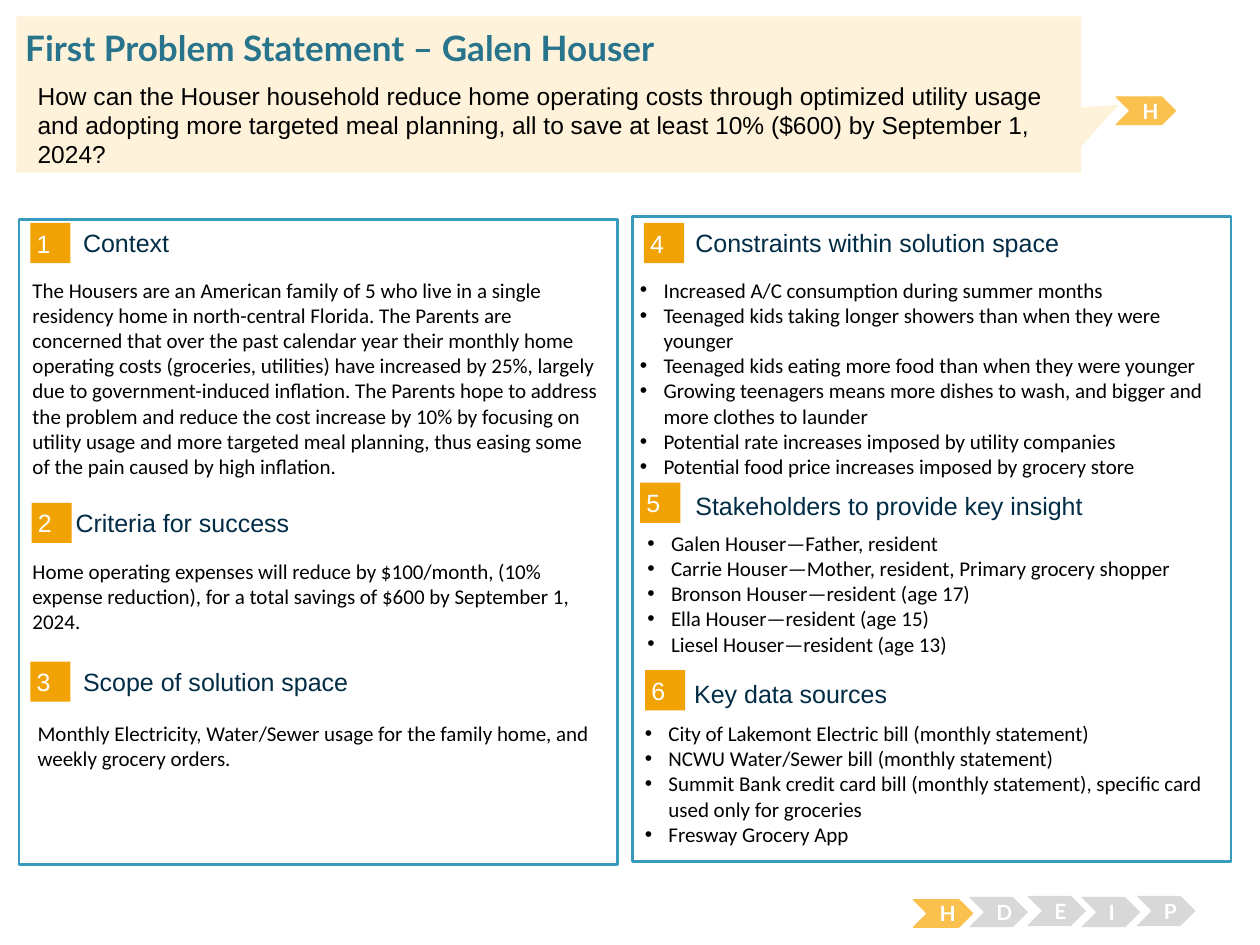
from lxml.etree import SubElement
from pptx import Presentation
from pptx.dml.color import RGBColor
from pptx.enum.shapes import MSO_SHAPE
from pptx.enum.text import MSO_ANCHOR, PP_ALIGN
from pptx.oxml.ns import qn
from pptx.util import Pt

HUES = {"frame": "379BBD", "badge": "F1A205", "active": "FBC14E",
        "idle": "D8D8D8", "cream": "FEF2DA", "title": "29748D",
        "head": "002C46", "white": "FFFFFF", "black": "000000"}

FONTS = {
    "title": {"name": "Lato", "size": Pt(20), "bold": True},
    "lead": {"name": "Arial", "size": Pt(14)},
    "head": {"name": "Arial", "size": Pt(14.3)},
    "body": {"name": "Calibri", "size": Pt(12)},
    "step": {"name": "Lato", "size": Pt(12), "bold": True},
}

PAD = (7.2, 3.6, 7.2, 3.6)
BARE = (0, 0, 0, 0)
INDENT = 13.5

# number, badge spot, heading, heading spot, body box, body lines, bulleted
PARTS = [
    ("1", (17.3, 127.4), "Context", (47.5, 129.6),
     (11.5, 154.8, 340.6, 126.7),
     ["The Housers are an American family of 5 who live in a single residency "
      "home in north-central Florida. The Parents are concerned that over the "
      "past calendar year their monthly home operating costs (groceries, "
      "utilities) have increased by 25%, largely due to government-induced "
      "inflation. The Parents hope to address the problem and reduce the cost "
      "increase by 10% by focusing on utility usage and more targeted meal "
      "planning, thus easing some of the pain caused by high inflation."], False),
    ("2", (18, 287.3), "Criteria for success", (43.2, 289.4),
     (11.5, 315.4, 343.4, 54.7),
     ["Home operating expenses will reduce by $100/month, (10% expense "
      "reduction), for a total savings of $600 by September 1, 2024."], False),
    ("3", (17.3, 378), "Scope of solution space", (47.5, 380.2),
     (14.4, 408.2, 340.6, 59),
     ["Monthly Electricity, Water/Sewer usage for the family home, and weekly "
      "grocery orders."], False),
    ("4", (367.9, 127.4), "Constraints within solution space", (397.4, 129.6),
     (358.6, 154.8, 342, 95),
     ["Increased A/C consumption during summer months",
      "Teenaged kids taking longer showers than when they were younger",
      "Teenaged kids eating more food than when they were younger",
      "Growing teenagers means more dishes to wash, and bigger and more "
      "clothes to launder",
      "Potential rate increases imposed by utility companies",
      "Potential food price increases imposed by grocery store"], True),
    ("5", (365.8, 275.8), "Stakeholders to provide key insight", (397.4, 280.1),
     (362.9, 299.5, 340.6, 76.3),
     ["Galen Houser—Father, resident",
      "Carrie Houser—Mother, resident, Primary grocery shopper",
      "Bronson Houser—resident (age 17)",
      "Ella Houser—resident (age 15)",
      "Liesel Houser—resident (age 13)"], True),
    ("6", (368.6, 383), "Key data sources", (396.7, 387.4),
     (361.4, 408.2, 340.6, 80.6),
     ["City of Lakemont Electric bill (monthly statement)",
      "NCWU Water/Sewer bill (monthly statement)",
      "Summit Bank credit card bill (monthly statement), specific card used "
      "only for groceries",
      "Fresway Grocery App"], True),
]

STEPS = [("H", 522, 514.1, True), ("D", 553.7, 512.6, False),
         ("E", 586.8, 511.9, False), ("I", 617.8, 512.6, False),
         ("P", 649.4, 511.9, False), ("H", 637.9, 55.4, True)]


def tint(name):
    return RGBColor.from_string(HUES[name])


def add_dot(para):
    """Give the paragraph a black round bullet with a hanging indent."""
    props = para._p.get_or_add_pPr()
    props.set("marL", str(Pt(INDENT)))
    props.set("indent", str(-Pt(INDENT)))
    shade = SubElement(props, qn("a:buClr"))
    SubElement(shade, qn("a:srgbClr"), val=HUES["black"])
    SubElement(props, qn("a:buFont"), typeface="Arial")
    SubElement(props, qn("a:buChar"), char="•")


def write(shape, lines, font, hue, pad=PAD, anchor=MSO_ANCHOR.TOP,
          align=PP_ALIGN.LEFT, dots=False):
    frame = shape.text_frame
    frame.word_wrap = True
    frame.vertical_anchor = anchor
    for side, gap in zip(("left", "top", "right", "bottom"), pad):
        setattr(frame, f"margin_{side}", Pt(gap))
    for i, line in enumerate(lines):
        para = frame.add_paragraph() if i else frame.paragraphs[0]
        para.alignment = align
        if dots:
            add_dot(para)
        run = para.add_run()
        run.text = line
        run.font.color.rgb = tint(hue)
        for key, value in FONTS[font].items():
            setattr(run.font, key, value)


def add_text(slide, box, lines, font, hue="black", **style):
    write(slide.shapes.add_textbox(*map(Pt, box)), lines, font, hue, **style)


def add_form(slide, kind, box, fill, line=None, width=0.75):
    shape = slide.shapes.add_shape(kind, *map(Pt, box))
    shape.shadow.inherit = False
    shape.fill.solid()
    shape.fill.fore_color.rgb = tint(fill)
    if line:
        shape.line.color.rgb = tint(line)
        shape.line.width = Pt(width)
    else:
        shape.line.fill.background()
    return shape


def add_part(slide, mark, spot, head, place, box, lines, dots):
    """Add a numbered badge, its heading and the text below."""
    badge = add_form(slide, MSO_SHAPE.RECTANGLE, (*spot, 23, 23), "badge")
    write(badge, [mark], "head", "white", pad=(3.6,) * 4,
          anchor=MSO_ANCHOR.MIDDLE)
    add_text(slide, (*place, 283, 18), [head], "head", "head", pad=BARE,
             anchor=MSO_ANCHOR.MIDDLE)
    add_text(slide, box, lines, "body", dots=dots)


def add_step(slide, mark, left, top, active):
    hue, high = ("active", 15.8) if active else ("idle", 17.3)
    step = add_form(slide, MSO_SHAPE.CHEVRON, (left, top, 33.8, high), hue,
                    line=hue if active else None)
    write(step, [mark], "step", "white", anchor=MSO_ANCHOR.MIDDLE,
          align=PP_ALIGN.CENTER)


def add_top(slide):
    """Add the callout with the title and the problem question."""
    call = add_form(slide, MSO_SHAPE.RECTANGULAR_CALLOUT,
                    (9.4, 9.4, 608.4, 89.3), "cream")
    call.adjustments[0] = 0.535
    call.adjustments[1] = 0.066
    add_text(slide, (14.4, 15.1, 692.6, 24.5),
             ["First Problem Statement – Galen Houser"], "title", "title",
             pad=BARE)
    add_text(slide, (14.4, 42.5, 603.4, 54),
             ["How can the Houser household reduce home operating costs through "
              "optimized utility usage and adopting more targeted meal planning, "
              "all to save at least 10% ($600) by September 1, 2024?"], "lead")


def main():
    deck = Presentation()
    deck.slide_width, deck.slide_height = Pt(720), Pt(540)
    slide = deck.slides.add_slide(deck.slide_layouts[6])
    for left, top in ((10.8, 125.3), (361.4, 123.8)):
        add_form(slide, MSO_SHAPE.RECTANGLE, (left, top, 342, 368.6), "white",
                 line="frame", width=1.5)
    for part in PARTS:
        add_part(slide, *part)
    for step in STEPS:
        add_step(slide, *step)
    add_top(slide)
    deck.save("out.pptx")


if __name__ == "__main__":
    main()
